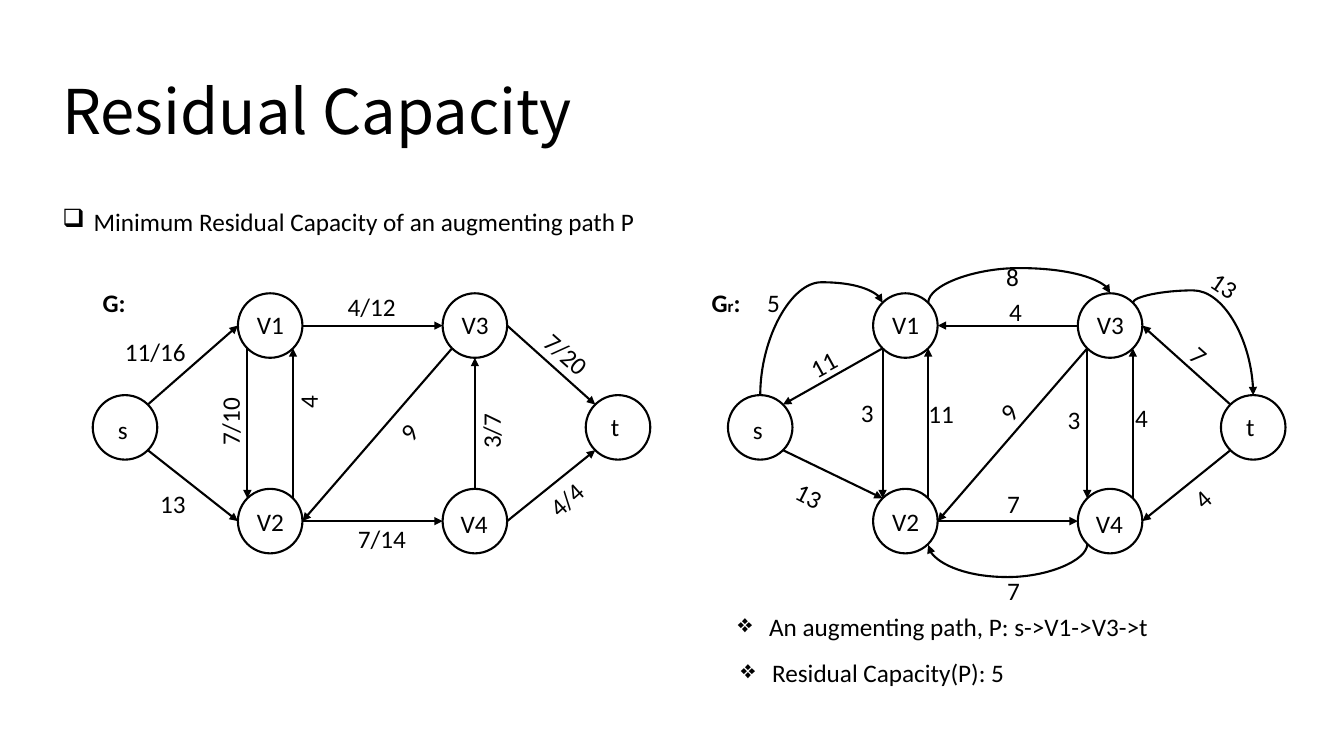
from math import cos, radians, sin

from lxml.etree import SubElement
from pptx import Presentation
from pptx.dml.color import RGBColor
from pptx.enum.shapes import MSO_CONNECTOR, MSO_SHAPE
from pptx.enum.text import MSO_ANCHOR, MSO_AUTO_SIZE
from pptx.oxml.ns import qn
from pptx.util import Inches, Pt

BLACK = RGBColor(0, 0, 0)
DIAMETER = 0.64
ROW_HEIGHT = 0.4
RESIDUAL_OFFSET = 6.3
TITLE_FORMAT = {"name": "Noto Sans CJK SC", "size": Pt(44)}
BODY_FORMAT = {"name": "Calibri", "size": Pt(18)}
HEADING_FORMAT = {**BODY_FORMAT, "bold": True}
SUBSCRIPT_FORMAT = {**HEADING_FORMAT, "size": Pt(12)}
FRAME_FORMAT = {"word_wrap": False, "auto_size": MSO_AUTO_SIZE.SHAPE_TO_FIT_TEXT}
TITLE_FRAME = {"word_wrap": True, "vertical_anchor": MSO_ANCHOR.MIDDLE}
LABEL_WIDTHS = {1: 0.33, 2: 0.46, 3: 0.56, 4: 0.68, 5: 0.81}
COMPASS = {"E": 0, "SE": 45, "S": 90, "SW": 135, "W": 180, "NW": 225, "N": 270, "NE": 315}

NODES = {
    "s": (0.92, 3.92, 0.15, 0.14, 0.3),
    "V1": (2.36, 2.91, 0.09, 0.11, 0.47),
    "V2": (2.36, 4.85, 0.09, 0.12, 0.47),
    "V3": (4.39, 2.91, 0.09, 0.11, 0.47),
    "V4": (4.39, 4.85, 0.08, 0.14, 0.47),
    "t": (5.81, 3.92, 0.15, 0.11, 0.29),
}
FLOW_EDGES = [
    ("s", "NE", "V1", "W"), ("V1", "E", "V3", "W"), ("V3", "E", "t", "NW"),
    ("s", "SE", "V2", "W"), ("V2", "E", "V4", "W"), ("V4", "E", "t", "SW"),
    ("V1", "SW", "V2", "NW"), ("V2", "NE", "V1", "SE"),
    ("V3", "SW", "V2", "E"), ("V4", "N", "V3", "S"),
]
RESIDUAL_EDGES = [
    ("V1", "SW", "s", "NE"), ("V3", "W", "V1", "E"), ("t", "NW", "V3", "E"),
    ("s", "SE", "V2", "NW"), ("V3", "SW", "V2", "E"), ("V2", "E", "V4", "W"),
    ("t", "SW", "V4", "E"), ("V3", "SW", "V4", "NW"), ("V4", "NE", "V3", "SE"),
    ("V1", "SW", "V2", "NW"), ("V2", "NE", "V1", "SE"),
]
RESIDUAL_CURVES = [
    ("s", "N", "V1", "NW", 2.8), ("V1", "NE", "V3", "N", 2.66),
    ("V3", "NE", "t", "N", 2.88), ("V4", "SW", "V2", "SE", 5.73),
]
FLOW_LABELS = [
    ("11/16", 1.14, 3.29, 0), ("13", 1.49, 4.8, 0), ("7/10", 1.94, 3.98, 270),
    ("4", 2.89, 3.79, 270), ("4/12", 3.35, 2.84, 0), ("7/14", 3.45, 5.14, 0),
    ("9", 3.89, 4.08, 311.6), ("7/20", 5.28, 3.31, 41.5),
    ("3/7", 4.59, 4.07, 270), ("4/4", 5.34, 4.75, 318.3),
]
RESIDUAL_LABELS = [
    ("11", 7.94, 3.41, 331.1), ("5", 7.51, 2.8, 0), ("4", 9.91, 2.89, 0),
    ("8", 9.88, 2.54, 0), ("13", 7.8, 4.72, 26.8), ("9", 9.84, 3.89, 310.8),
    ("4", 11.16, 3.94, 0), ("3", 10.49, 3.96, 0), ("7", 9.89, 4.8, 0),
    ("7", 9.89, 5.66, 0), ("4", 11.76, 4.75, 317.9), ("7", 11.73, 3.33, 41.6),
    ("13", 11.92, 2.63, 33.8), ("11", 9.11, 3.9, 0), ("3", 8.44, 3.89, 0),
]
BULLETS = [
    ("❑", "Minimum Residual Capacity of an augmenting path P", 0.52, 2, 5.95),
    ("❖", "An augmenting path, P: s->V1->V3->t", 7.22, 6.02, 4.32),
    ("❖", "Residual Capacity(P): 5", 7.25, 6.47, 2.85),
]


def apply_format(target, values):
    for attribute, value in values.items():
        setattr(target, attribute, value)


def anchor(node, direction, offset):
    left, top = NODES[node][:2]
    radius = DIAMETER / 2
    angle = radians(COMPASS[direction])
    return (left + offset + radius * (1 + cos(angle)),
            top + radius * (1 + sin(angle)))


class FlowSlide:
    def __init__(self, slide):
        self.slide = slide
        self.color = BLACK
        self.line_width = Pt(1.5)

    def text(self, runs, left, top, width, height=ROW_HEIGHT, rotation=0, frame=FRAME_FORMAT):
        box = self.slide.shapes.add_textbox(*map(Inches, (left, top, width, height)))
        box.rotation = rotation
        apply_format(box.text_frame, frame)
        paragraph = box.text_frame.paragraphs[0]
        for words, style in runs:
            run = paragraph.add_run()
            run.text = words
            apply_format(run.font, style)
            run.font.color.rgb = self.color
        return paragraph

    def title(self, words):
        paragraph = self.text([(words, TITLE_FORMAT)], 0.52, 0.41, 11.5, 1.45, frame=TITLE_FRAME)
        paragraph.line_spacing = 0.9

    def bullet(self, mark, words, left, top, width):
        paragraph = self.text([(words, BODY_FORMAT)], left, top, width)
        properties = paragraph._p.get_or_add_pPr()
        properties.set("marL", str(Inches(0.31)))
        properties.set("indent", str(Inches(-0.31)))
        SubElement(properties, qn("a:buChar"), char=mark)

    def outline(self, item):
        item.line.color.rgb = self.color
        item.line.width = self.line_width

    def node(self, name, offset):
        left, top, inset_x, inset_y, width = NODES[name]
        left += offset
        circle = self.slide.shapes.add_shape(
            MSO_SHAPE.OVAL, *map(Inches, (left, top, DIAMETER, DIAMETER)))
        circle.shadow.inherit = False
        circle.fill.background()
        self.outline(circle)
        self.text([(name, BODY_FORMAT)], left + inset_x, top + inset_y, width)

    def arrow(self, start, end, kind=MSO_CONNECTOR.STRAIGHT):
        edge = self.slide.shapes.add_connector(kind, *map(Inches, (*start, *end)))
        self.outline(edge)
        SubElement(edge.line._get_or_add_ln(), qn("a:tailEnd"), type="triangle")
        SubElement(edge._element.spPr, qn("a:effectLst"))
        return edge

    def curve(self, start, end, apex):
        (start_x, start_y), (end_x, end_y) = start, end
        rise = (end_y - start_y) or 0.01
        half_x, half_y = (end_x - start_x) / 2, rise / 2
        center_x, center_y = start_x + half_x, start_y + half_y
        edge = self.arrow((center_x - half_y, center_y + half_x),
                          (center_x + half_y, center_y - half_x), MSO_CONNECTOR.CURVE)
        properties = edge._element.spPr
        properties.find(qn("a:xfrm")).set("rot", str(90 * 60000))
        bend = round((apex - start_y) / rise * 100000)
        adjustments = properties.find(qn("a:prstGeom")).find(qn("a:avLst"))
        SubElement(adjustments, qn("a:gd"), name="adj1", fmla=f"val {bend}")

    def graph(self, offset, edges, labels, curves=()):
        for name in NODES:
            self.node(name, offset)
        for source, leave, target, enter in edges:
            self.arrow(anchor(source, leave, offset), anchor(target, enter, offset))
        for source, leave, target, enter, apex in curves:
            self.curve(anchor(source, leave, offset), anchor(target, enter, offset), apex)
        for words, left, top, rotation in labels:
            self.text([(words, BODY_FORMAT)], left, top, LABEL_WIDTHS[len(words)],
                      rotation=rotation)


def main():
    presentation = Presentation()
    presentation.slide_width = Inches(13.33)
    presentation.slide_height = Inches(7.5)
    page = FlowSlide(presentation.slides.add_slide(presentation.slide_layouts[6]))
    page.title("Residual Capacity")
    page.graph(0, FLOW_EDGES, FLOW_LABELS)
    page.graph(RESIDUAL_OFFSET, RESIDUAL_EDGES, RESIDUAL_LABELS, RESIDUAL_CURVES)
    page.text([("G:", HEADING_FORMAT)], 0.92, 2.8, 0.43)
    page.text([("G", HEADING_FORMAT), ("r", SUBSCRIPT_FORMAT), (":", HEADING_FORMAT)],
              6.96, 2.8, 0.49)
    for bullet in BULLETS:
        page.bullet(*bullet)
    presentation.save("out.pptx")


if __name__ == "__main__":
    main()
